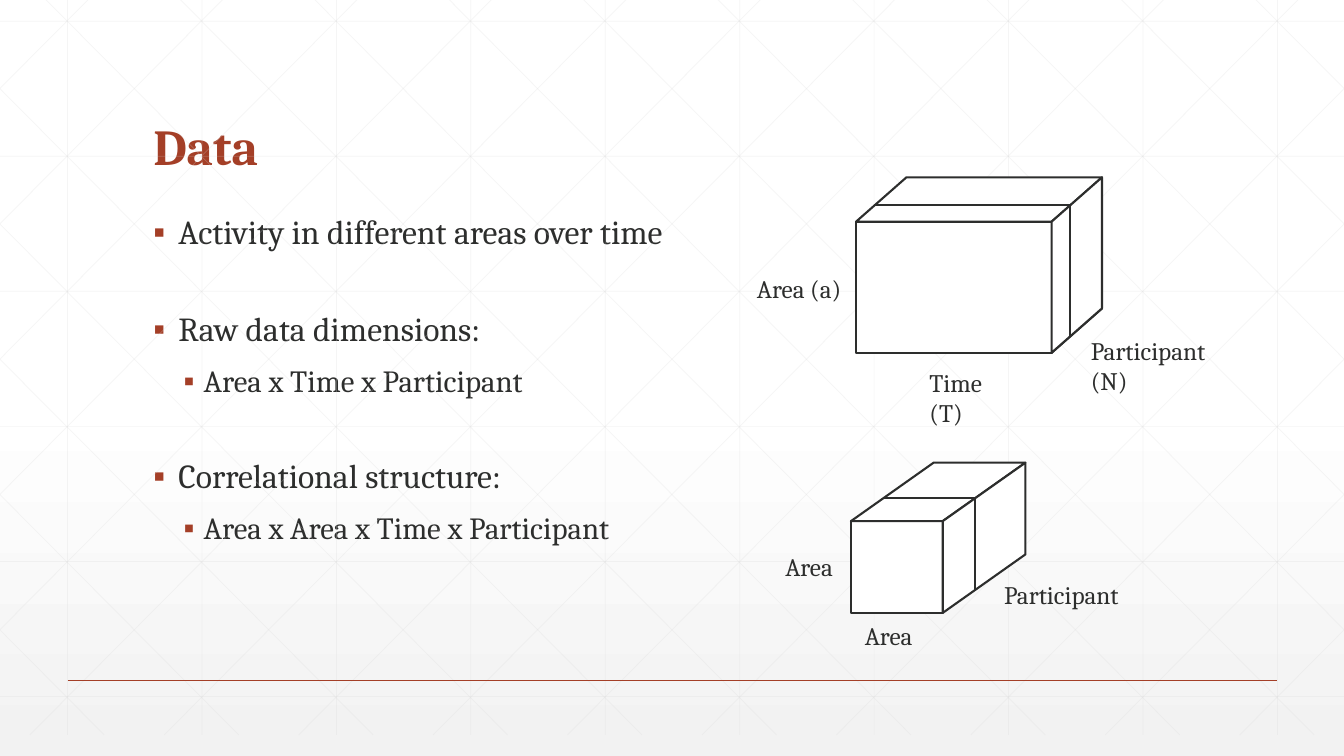
import copy
from dataclasses import dataclass

import lxml.etree
import pptx
import pptx.dml.color
import pptx.enum.shapes
import pptx.enum.text
import pptx.oxml.ns
import pptx.util

Inches = pptx.util.Inches
Pt = pptx.util.Pt
RGB = pptx.dml.color.RGBColor
Kind = pptx.enum.shapes.MSO_SHAPE
qn = pptx.oxml.ns.qn


@dataclass(frozen=True)
class Theme:
    face: str = "Cambria"
    ink: str = "2D2E2D"
    accent: str = "A43F27"
    paper: str = "FFFFFF"
    shade: str = "F2F2F2"
    mesh: str = "D9D9D9"
    title: float = 36
    main: float = 24
    sub: float = 22
    label: float = 18


@dataclass(frozen=True)
class Cube:
    left: float
    top: float
    wide: float
    high: float
    run: float
    rise: float
    cut: float
    base: bool = False


@dataclass(frozen=True)
class Label:
    text: str
    left: float
    top: float
    wide: float


@dataclass(frozen=True)
class Point:
    text: str
    level: int
    gap: float


THEME = Theme()
WIDE, HIGH = 13.33, 7.5
MESH_TOP, MESH_END = -0.21, 7.29
STEP = 4 / 3

POINTS = [
    Point("Activity in different areas over time", 0, 0),
    Point("Raw data dimensions:", 0, 43.3),
    Point("Area x Time x Participant", 1, 12),
    Point("Correlational structure:", 0, 43.3),
    Point("Area x Area x Time x Participant", 1, 12),
]
CUBES = [
    Cube(8.49, 2.2, 1.94, 1.3, 0.5, 0.44, 0.37, base=True),
    Cube(8.44, 5.17, 0.91, 0.91, 0.82, 0.58, 0.39),
]
LABELS = [
    Label("Time (T)", 9.12, 3.59, 1.05),
    Label("Participant (N)", 10.72, 3.28, 1.69),
    Label("Area (a)", 7.41, 2.66, 1.1),
    Label("Area", 8.48, 6.11, 0.7),
    Label("Area", 7.69, 5.42, 0.7),
    Label("Participant", 9.86, 5.7, 1.39),
]


def write(para, text: str, *, size: float, color: str = THEME.ink,
          bold: bool = False, space: float = 1, gap: float = 0) -> None:
    para.alignment = pptx.enum.text.PP_ALIGN.LEFT
    para.line_spacing = space
    para.space_before = Pt(gap)
    para.space_after = Pt(0)
    run = para.add_run()
    run.text = text
    run.font.name = THEME.face
    run.font.size = Pt(size)
    run.font.bold = bold
    run.font.color.rgb = RGB.from_string(color)


def place(shape, left: float, top: float, wide: float, high: float) -> None:
    shape.left, shape.top = Inches(left), Inches(top)
    shape.width, shape.height = Inches(wide), Inches(high)


def line(shapes, start: tuple[float, float], end: tuple[float, float],
         color: str = THEME.ink, width: float = 1.5, alpha: int = 100) -> None:
    edge = shapes.add_connector(pptx.enum.shapes.MSO_CONNECTOR.STRAIGHT,
                                *map(Inches, start + end))
    edge.line.color.rgb = RGB.from_string(color)
    edge.line.width = Pt(width)
    props = edge.element.spPr
    if alpha < 100:
        tint = props.find(".//" + qn("a:srgbClr"))
        lxml.etree.SubElement(tint, qn("a:alpha"), val=str(alpha * 1000))
    lxml.etree.SubElement(props, qn("a:effectLst"))


def panel(shapes, kind, left: float, top: float, wide: float, high: float):
    shape = shapes.add_shape(kind, *map(Inches, (left, top, wide, high)))
    shape.shadow.inherit = False
    shape.fill.solid()
    shape.fill.fore_color.rgb = RGB.from_string(THEME.paper)
    shape.line.color.rgb = RGB.from_string(THEME.ink)
    shape.line.width = Pt(1.5)
    return shape


def draw_cube(shapes, cube: Cube) -> None:
    right, base = cube.left + cube.wide, cube.top + cube.high
    panel(shapes, Kind.RECTANGLE, cube.left, cube.top, cube.wide, cube.high)
    if cube.base:
        line(shapes, (right, base), (right + cube.run, base - cube.rise))
    lid = panel(shapes, Kind.PARALLELOGRAM, cube.left, cube.top - cube.rise,
                cube.wide + cube.run, cube.rise)
    lid.adjustments[0] = cube.run / cube.rise
    span = cube.high + cube.rise
    side = panel(shapes, Kind.PARALLELOGRAM, right + (cube.run - span) / 2,
                 cube.top - cube.rise + (span - cube.run) / 2, span, cube.run)
    side.adjustments[0] = cube.rise / cube.run
    side.rotation = 90
    side.element.spPr.find(qn("a:xfrm")).set("flipV", "1")
    shift, y = cube.cut * cube.run, cube.top - cube.cut * cube.rise
    line(shapes, (cube.left + shift, y), (right + shift, y))
    line(shapes, (right + shift, y), (right + shift, y + cube.high))


def draw_mesh(shapes) -> None:
    """Draw the faint grid with both sets of diagonals, cut at the sides."""
    look = dict(color=THEME.mesh, width=0.5, alpha=25)
    for i in range(10):
        x = 0.67 + i * STEP
        line(shapes, (x, MESH_TOP), (x, MESH_END), **look)
    for i in range(6):
        y = 0.21 + i * 1.34
        line(shapes, (0, y), (WIDE, y), **look)
    slope = 7.5 / 7.45
    for i in range(-5, 10):
        x = 0.25 + i * STEP
        near, far = max(x, 0), min(x + 7.45, WIDE)
        top, end = (MESH_TOP + (at - x) * slope for at in (near, far))
        line(shapes, (near, top), (far, end), **look)
        line(shapes, (WIDE - near, top), (WIDE - far, end), **look)


def paint(slide) -> None:
    """Fill the slide with a gradient that stays white past the middle."""
    fill = slide.background.fill
    fill.gradient()
    fill.gradient_angle = 270
    stops = slide.element.find(".//" + qn("a:gsLst"))
    stops.insert(1, copy.deepcopy(stops[0]))
    tones = [(0, THEME.paper), (0.53, THEME.paper), (1, THEME.shade)]
    for stop, (spot, tone) in zip(slide.background.fill.gradient_stops, tones):
        stop.position = spot
        stop.color.rgb = RGB.from_string(tone)


def mark(para, level: int) -> None:
    """Give a paragraph its square bullet and indent."""
    para.level = level
    props = para._p.get_or_add_pPr()
    props.set("marL", str(Inches((0.25, 0.5)[level])))
    props.set("indent", str(Inches((-0.25, -0.2)[level])))
    tint = lxml.etree.SubElement(props, qn("a:buClr"))
    lxml.etree.SubElement(tint, qn("a:srgbClr"), val=THEME.accent)
    lxml.etree.SubElement(props, qn("a:buFont"), typeface="Arial")
    lxml.etree.SubElement(props, qn("a:buChar"), char="▪")


def fill_text(slide) -> None:
    title, body = slide.placeholders
    place(title, 1.42, 0.55, 10.5, 1.25)
    place(body, 1.42, 2.09, 5.37, 4.34)
    for frame in (title.text_frame, body.text_frame):
        frame.auto_size = pptx.enum.text.MSO_AUTO_SIZE.NONE
        frame.word_wrap = True
    title.text_frame.vertical_anchor = pptx.enum.text.MSO_ANCHOR.BOTTOM
    write(title.text_frame.paragraphs[0], "Data", size=THEME.title,
          color=THEME.accent, bold=True, space=0.9)
    frame = body.text_frame
    for i, point in enumerate(POINTS):
        para = frame.add_paragraph() if i else frame.paragraphs[0]
        mark(para, point.level)
        write(para, point.text, size=(THEME.main, THEME.sub)[point.level],
              space=0.9, gap=point.gap)


def main() -> None:
    deck = pptx.Presentation()
    deck.slide_width, deck.slide_height = Inches(WIDE), Inches(HIGH)
    slide = deck.slides.add_slide(deck.slide_layouts[1])
    paint(slide)
    draw_mesh(slide.shapes.add_group_shape().shapes)
    line(slide.shapes, (0.67, 6.75), (12.67, 6.75), THEME.accent, 1)
    fill_text(slide)
    for cube in CUBES:
        draw_cube(slide.shapes, cube)
    for label in LABELS:
        box = slide.shapes.add_textbox(
            *map(Inches, (label.left, label.top, label.wide, 0.4)))
        box.text_frame.word_wrap = True
        write(box.text_frame.paragraphs[0], label.text, size=THEME.label)
    deck.save("out.pptx")


if __name__ == "__main__":
    main()
